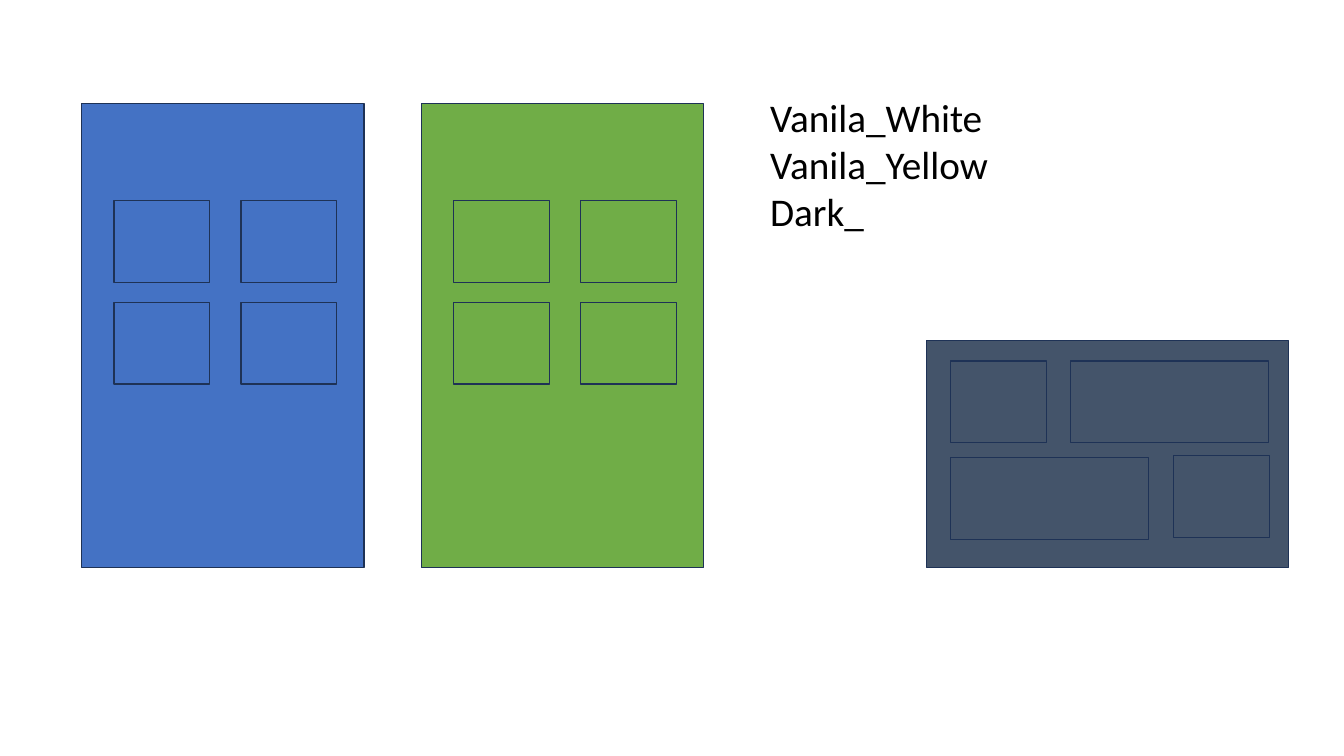
from pptx import Presentation
from pptx.dml.color import RGBColor
from pptx.enum.shapes import MSO_SHAPE
from pptx.enum.text import MSO_AUTO_SIZE
from pptx.util import Inches, Pt

RECTANGLE = MSO_SHAPE.RECTANGLE
GROW = MSO_AUTO_SIZE.SHAPE_TO_FIT_TEXT

BLUE, GREEN, SLATE = "4472C4", "70AD47", "44546A"
OUTLINE, BLACK = "1E3256", "000000"
PANE_WIDTH, PANE_HEIGHT = 0.95, 0.81
WIDE_PANE = 1.96


def rgb(hex_color):
    return RGBColor.from_string(hex_color)


def add_panel(slide, left, top, width, height, color):
    panel = slide.shapes.add_shape(
        RECTANGLE, Inches(left), Inches(top), Inches(width), Inches(height))
    panel.shadow.inherit = False
    panel.fill.solid()
    panel.fill.fore_color.rgb = rgb(color)
    panel.line.color.rgb = rgb(OUTLINE)
    panel.line.width = Pt(1)


def add_door(slide, left, top, width, height, color):
    """Draw a tall panel with a two by two grid of equal panes."""
    add_panel(slide, left, top, width, height, color)
    for row in range(2):
        for column in range(2):
            add_panel(slide, left + 0.32 + column * 1.26, top + 0.96 + row * 1.01,
                      PANE_WIDTH, PANE_HEIGHT, color)


def add_wide_board(slide, left, top, width, height, color):
    """Draw a wide panel whose short and long panes alternate."""
    add_panel(slide, left, top, width, height, color)
    panes = [
        (0.24, 0.20, PANE_WIDTH),
        (1.43, 0.20, WIDE_PANE),
        (0.24, 1.16, WIDE_PANE),
        (2.45, 1.14, PANE_WIDTH),
    ]
    for x, y, pane_width in panes:
        add_panel(slide, left + x, top + y, pane_width, PANE_HEIGHT, color)


def add_variant_names(slide, left, top, width, height, names):
    box = slide.shapes.add_textbox(
        Inches(left), Inches(top), Inches(width), Inches(height))
    frame = box.text_frame
    frame.word_wrap = True
    frame.auto_size = GROW
    frame.text = "\n".join(names)
    for paragraph in frame.paragraphs:
        font = paragraph.runs[0].font
        font.name = "Calibri"
        font.size = Pt(28)
        font.color.rgb = rgb(BLACK)


def main():
    presentation = Presentation()
    presentation.slide_width = Inches(13.33)
    presentation.slide_height = Inches(7.5)
    blank_layout = presentation.slide_layouts[6]
    slide = presentation.slides.add_slide(blank_layout)

    add_door(slide, 0.81, 1.03, 2.8, 4.6, BLUE)
    add_door(slide, 4.18, 1.03, 2.8, 4.6, GREEN)
    add_variant_names(slide, 7.54, 0.88, 2.63, 1.51,
                      ["Vanila_White", "Vanila_Yellow", "Dark_"])
    add_wide_board(slide, 9.19, 3.38, 3.59, 2.25, SLATE)

    presentation.save("out.pptx")


if __name__ == "__main__":
    main()
